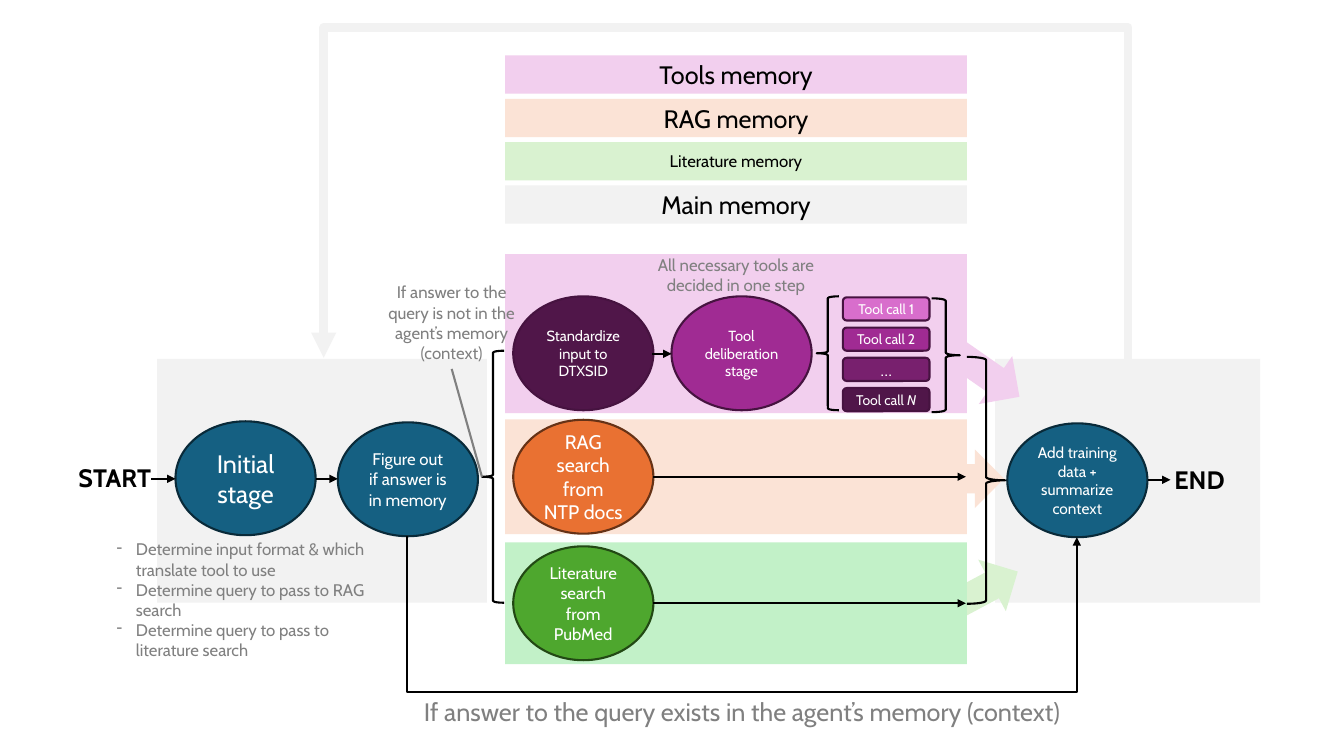
from lxml import etree
from pptx import Presentation
from pptx.dml.color import RGBColor
from pptx.enum.shapes import MSO_CONNECTOR, MSO_SHAPE
from pptx.enum.text import MSO_ANCHOR, MSO_AUTO_SIZE, PP_ALIGN
from pptx.oxml.ns import qn
from pptx.util import Inches, Pt

RECT, OVAL, PILL = MSO_SHAPE.RECTANGLE, MSO_SHAPE.OVAL, MSO_SHAPE.ROUNDED_RECTANGLE
ARROW = MSO_SHAPE.RIGHT_ARROW
OPEN, CLOSE = MSO_SHAPE.LEFT_BRACE, MSO_SHAPE.RIGHT_BRACE
LINE, ELBOW = MSO_CONNECTOR.STRAIGHT, MSO_CONNECTOR.ELBOW
LEFT, CENTER = PP_ALIGN.LEFT, PP_ALIGN.CENTER
MIDDLE, FIT = MSO_ANCHOR.MIDDLE, MSO_AUTO_SIZE.SHAPE_TO_FIT_TEXT

FONT = "Cabin"
NODE = (1.39, 1.13)
HEX = {
    "white": "FFFFFF", "black": "000000", "gray": "808080", "main": "F2F2F2",
    "blue": "156082", "navy": "092A39",
    "pink": "F2CFEE", "orchid": "D86ECC", "purple": "A02B93",
    "plum": "78206E", "wine": "501649", "edge": "461340",
    "peach": "FBE3D6", "orange": "E97132", "brown": "663216",
    "mint": "D9F2D0", "lime": "C2F1C8", "green": "4EA72E", "forest": "224914",
}


def rgb(name):
    return RGBColor.from_string(HEX[name])


def write(frame, paras, size, color, align=CENTER, bold=False, dash=False):
    """Each paragraph is a list of (text, italic) runs or a plain string."""
    frame.word_wrap = True
    for i, para in enumerate(paras):
        p = frame.paragraphs[0] if i == 0 else frame.add_paragraph()
        p.alignment = align
        if dash:
            props = p._p.get_or_add_pPr()
            props.set("marL", str(Inches(0.19)))
            props.set("indent", str(-Inches(0.19)))
            etree.SubElement(props, qn("a:buChar")).set("char", "-")
        for text, slant in [(para, False)] if isinstance(para, str) else para:
            run = p.add_run()
            run.text = text
            font = run.font
            font.name, font.size, font.bold = FONT, Pt(size), bold
            font.color.rgb = rgb(color)
            if slant:
                font.italic = True


def shape(slide, kind, x, y, w, h, fill=None, line=None, turn=0):
    item = slide.shapes.add_shape(kind, Inches(x), Inches(y), Inches(w), Inches(h))
    item.shadow.inherit = False
    item.rotation = turn
    if fill:
        item.fill.solid()
        item.fill.fore_color.rgb = rgb(fill)
    else:
        item.fill.background()
    if line:
        item.line.color.rgb = rgb(line)
        item.line.width = Pt(1.5)
    else:
        item.line.fill.background()
    return item


def label(item, paras, size, color="white"):
    item.text_frame.vertical_anchor = MIDDLE
    write(item.text_frame, paras, size, color)


def node(slide, x, y, paras, size, fill, edge):
    label(shape(slide, OVAL, x, y, *NODE, fill, edge), paras, size)


def note(slide, x, y, w, h, paras, size, color="gray", **style):
    box = slide.shapes.add_textbox(Inches(x), Inches(y), Inches(w), Inches(h))
    write(box.text_frame, paras, size, color, **style)
    box.text_frame.auto_size = FIT


def link(slide, x0, y0, x1, y1, color="black", width=1.5, head=True, kind=LINE):
    item = slide.shapes.add_connector(kind, *map(Inches, (x0, y0, x1, y1)))
    item.line.color.rgb = rgb(color)
    item.line.width = Pt(width)
    if head:
        tail = etree.SubElement(item.line._get_or_add_ln(), qn("a:tailEnd"))
        tail.set("type", "triangle")
    etree.SubElement(item._element.spPr, qn("a:effectLst"))
    return item


def bend(slide, x0, y0, x1, y1, mid, **style):
    """Elbow that leaves vertically, runs along y = mid and comes back."""
    cx, cy = (x0 + x1) / 2, (y0 + y1) / 2
    item = link(slide, cx + cy - y0, cy + x0 - cx, cx + cy - y1, cy + x1 - cx,
                kind=ELBOW, **style)
    props = item._element.spPr
    props.find(qn("a:xfrm")).set("rot", str(270 * 60000))
    guides = props.find(qn("a:prstGeom")).get_or_add_avLst()
    ratio = round((mid - y0) / (y1 - y0) * 100000)
    guide = etree.SubElement(guides, qn("a:gd"))
    guide.set("name", "adj1")
    guide.set("fmla", f"val {ratio}")


def memory(slide, x, y, w):
    rows = [("Tools memory", 18, "pink"), ("RAG memory", 18, "peach"),
            ("Literature memory", 12, "mint"), ("Main memory", 18, "main")]
    for i, (text, size, fill) in enumerate(rows):
        bar = shape(slide, RECT, x, y + 0.43 * i, w, 0.38, fill)
        label(bar, [text], size, "black")


def tools(slide, x, y, w, h):
    shape(slide, RECT, x, y, w, h, "pink")
    mid = y + 0.99
    node(slide, x + 0.08, y + 0.42, ["Standardize input to DTXSID"], 10.5, "wine", "edge")
    node(slide, x + 1.65, y + 0.42, ["Tool", "deliberation stage"], 10.5, "purple", "edge")
    link(slide, x + 1.46, mid, x + 1.65, mid)
    # Tool calls between braces
    calls = [("Tool call 1", 10, "orchid"), ("Tool call 2", 10, "purple"),
             ("…", 12, "plum"), ([("Tool call ", False), ("N", True)], 10, "wine")]
    for i, (text, size, fill) in enumerate(calls):
        pill = shape(slide, PILL, x + 3.35, y + 0.43 + 0.3 * i, 0.86, 0.23, fill, "edge")
        label(pill, [text], size)
    shape(slide, OPEN, x + 3.09, y + 0.42, 0.22, 1.13, line="black")
    shape(slide, CLOSE, x + 4.23, y + 0.44, 0.28, 1.13, line="black")
    note(slide, x + 1.27, y - 0.04, 2.04, 0.5,
         ["All necessary tools are decided in one step"], 12)


def search(slide, x, y, w, h, text, size, fill, dark, edge):
    shape(slide, RECT, x, y, w, h, fill)
    mid = y + h / 2
    node(slide, x + 0.08, mid - NODE[1] / 2, [text], size, dark, edge)
    link(slide, x + 1.47, mid, x + w - 0.01, mid)


def start(slide, x, y, w, h):
    shape(slide, RECT, x, y, w, h, "main")
    mid = y + 1.19
    node(slide, x + 0.18, y + 0.62, ["Initial", "stage"], 18, "blue", "navy")
    node(slide, x + 1.79, y + 0.63, ["Figure out if answer is in memory"], 12, "blue", "navy")
    link(slide, x - 0.06, mid, x + 0.18, mid)
    link(slide, x + 1.57, mid, x + 1.79, mid)
    note(slide, x - 0.88, y + 0.98, 0.97, 0.4, ["START"], 18, "black", align=LEFT, bold=True)
    note(slide, x - 0.5, y + 1.74, 2.74, 1.31,
         ["Determine input format & which translate tool to use",
          "Determine query to pass to RAG search",
          "Determine query to pass to literature search"], 12, align=LEFT, dash=True)


def finish(slide, x, y, w, h):
    shape(slide, RECT, x, y, w, h, "main")
    # Block arrows from the three memories
    for dx, dy, turn, fill in [(-0.67, 0.9, 0, "peach"), (-0.49, 2, 331.8, "mint"),
                               (-0.45, -0.13, 34.9, "pink")]:
        shape(slide, ARROW, x + dx, y + dy, 0.76, 0.58, fill, turn=turn)
    node(slide, x + 0.12, y + 0.64, ["Add training data + summarize context"], 11, "blue", "navy")
    link(slide, x + 1.52, y + 1.2, x + 1.74, y + 1.2)
    note(slide, x + 1.68, y + 1, 0.97, 0.4, ["END"], 18, "black", align=LEFT, bold=True)


def routes(slide, x, y, w, h):
    # Braces around the three lanes
    shape(slide, OPEN, x - 0.23, y + 0.96, 0.22, 2.5, line="black")
    shape(slide, CLOSE, x + w, y + 1.02, 0.38, 2.45, line="black")
    # Answer not in memory
    note(slide, x - 1.28, y + 0.23, 1.5, 0.91,
         ["If answer to the query is not in the agent’s memory (context)"], 12)
    link(slide, x - 0.53, y + 1.14, x - 0.23, y + 2.21, "gray", head=False)
    # Answer in memory
    bend(slide, x - 0.97, y + 2.8, x + 5.67, y + 2.81, y + 4.37)
    note(slide, x - 1.03, y + 4.34, 6.76, 0.4,
         ["If answer to the query exists in the agent’s memory (context)"], 18)
    # Loop back to the start
    bend(slide, x + 6.18, y + 1.04, x - 1.8, y + 1.03, y - 2.3, color="main", width=6)


def main():
    deck = Presentation()
    deck.slide_width, deck.slide_height = Inches(13.33), Inches(7.5)
    slide = deck.slides.add_slide(deck.slide_layouts[6])
    x, w = 5.01, 4.58
    finish(slide, 9.87, 3.56, 2.63, 2.42)
    start(slide, 1.56, 3.56, 3.27, 2.42)
    memory(slide, x, 0.55, w)
    tools(slide, x, 2.52, w, 1.58)
    search(slide, x, 4.16, w, 1.14, "RAG search from NTP docs", 14, "peach", "orange", "brown")
    search(slide, x, 5.38, w, 1.21, "Literature search from PubMed", 12, "lime", "green", "forest")
    routes(slide, x, 2.52, w, 4.07)
    deck.save("out.pptx")


if __name__ == "__main__":
    main()
